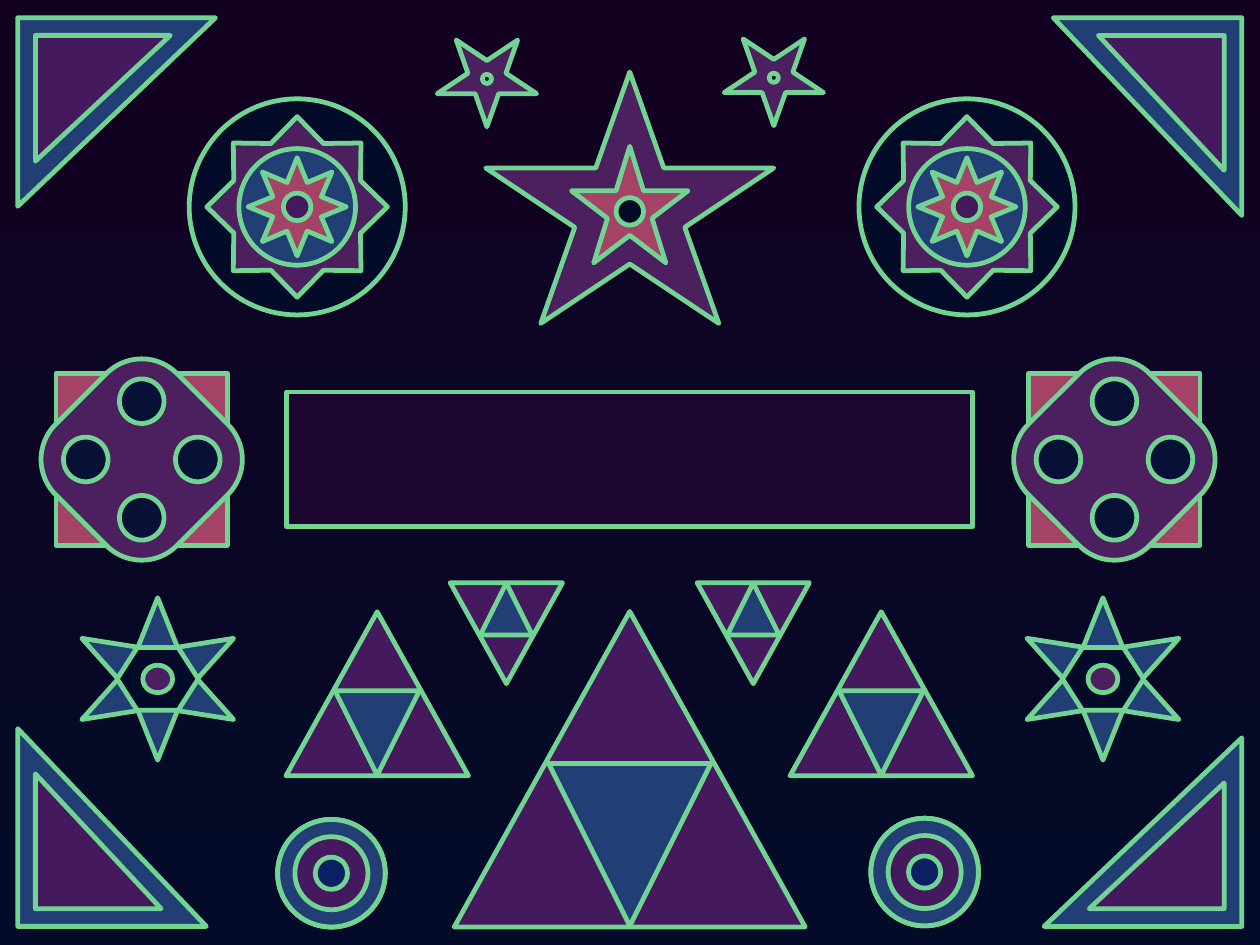
from math import cos, pi, radians, sin
from typing import NamedTuple, Optional

from pptx import Presentation
from pptx.dml.color import RGBColor
from pptx.enum.shapes import MSO_SHAPE as S
from pptx.util import Inches, Pt

THEME = {
    "sky": "130121", "ground": "030B28", "outline": "71D492", "banner": "1C052E",
    "violet": "4C1F5E", "plum": "45195D", "rose": "A44366", "blue": "213F75",
    "cobalt": "0D1F63", "ink": "071136", "line_width": 3,
}
CM_PER_INCH = 2.54
SLIDE_SIZE = (28 / CM_PER_INCH, 21 / CM_PER_INCH)


class Part(NamedTuple):
    outline: S
    width: float
    height: float
    fill: str
    dx: float = 0
    dy: float = 0
    turn: float = 0
    bend: Optional[float] = None


class Rays(NamedTuple):
    count: int
    outer: float
    inner: float
    fill: str
    stretch: float = 1


class Place(NamedTuple):
    x: float
    y: float
    turn: float = 0
    scale: float = 1


MOTIFS = {
    "banner": [Part(S.RECTANGLE, 6, 1.18, "banner")],
    "great_star": [
        Part(S.STAR_5_POINT, 2.52, 2.2, "violet"),
        Part(S.STAR_5_POINT, 1.02, 1.02, "rose", dy=0.06),
        Part(S.OVAL, 0.24, 0.24, "ground", dy=0.12),
    ],
    "small_star": [
        Part(S.STAR_5_POINT, 0.87, 0.76, "violet"),
        Part(S.OVAL, 0.08, 0.08, "ground", dy=0.04),
    ],
    "corner": [
        Part(S.RIGHT_TRIANGLE, 1.65, 1.73, "blue"),
        Part(S.RIGHT_TRIANGLE, 1.1, 1.18, "plum", dx=-0.12, dy=0.12),
    ],
    "medallion": [
        Part(S.OVAL, 1.89, 1.89, "ground"),
        Rays(8, 0.79, 0.6, "violet"),
        Part(S.OVAL, 1.02, 1.02, "blue"),
        Rays(8, 0.43, 0.23, "rose"),
        Part(S.OVAL, 0.24, 0.24, "plum"),
    ],
    "pyramid": [
        Part(S.ISOSCELES_TRIANGLE, 3.07, 2.76, "plum"),
        Part(S.ISOSCELES_TRIANGLE, 1.42, 1.42, "blue", dy=0.66, turn=180),
    ],
    "target": [
        Part(S.DONUT, 0.94, 0.94, fill, bend=bend)
        for fill, bend in [("cobalt", 0.5), ("plum", 0.35), ("blue", 0.16)]
    ],
    "tile": [
        Part(S.RECTANGLE, 1.5, 1.5, "rose"),
        Part(S.ROUNDED_RECTANGLE, 1.5, 1.5, "violet", turn=315, bend=0.29),
    ] + [
        Part(S.OVAL, 0.39, 0.39, "ink", dx=dx, dy=dy)
        for dx, dy in [(0, -0.51), (0, 0.51), (-0.49, 0), (0.49, 0)]
    ],
    "hexagram": [
        Rays(6, 0.71, 0.32, "blue", stretch=1.08),
        Part(S.HEXAGON, 0.71, 0.55, "ground", bend=0.32),
        Part(S.OVAL, 0.26, 0.24, "violet"),
    ],
}

PLACES = {
    "banner": [Place(5.51, 4.02)],
    "great_star": [Place(5.51, 1.73)],
    "small_star": [Place(4.26, 0.73, 180), Place(6.77, 0.72, 180)],
    "corner": [Place(0.98, 7.24), Place(1.02, 0.98, 90),
               Place(10.04, 1.02, 180), Place(10, 7.28, 270)],
    "medallion": [Place(2.6, 1.81), Place(8.46, 1.81)],
    "pyramid": [Place(5.51, 6.73), Place(3.3, 6.07, 0, 0.52), Place(7.71, 6.07, 0, 0.52),
                Place(4.43, 5.54, 180, 0.32), Place(6.59, 5.54, 180, 0.32)],
    "target": [Place(2.9, 7.64), Place(8.09, 7.63)],
    "tile": [Place(1.24, 4.02), Place(9.75, 4.02)],
    "hexagram": [Place(1.38, 5.94), Place(9.65, 5.94)],
}


def color(name):
    return RGBColor.from_string(THEME[name])


def add_part(shapes, part, place):
    angle = radians(place.turn)
    x = place.x + place.scale * (part.dx * cos(angle) - part.dy * sin(angle))
    y = place.y + place.scale * (part.dx * sin(angle) + part.dy * cos(angle))
    width, height = part.width * place.scale, part.height * place.scale
    figure = shapes.add_shape(part.outline, Inches(x - width / 2), Inches(y - height / 2),
                              Inches(width), Inches(height))
    figure.rotation = (part.turn + place.turn) % 360
    if part.bend is not None:
        figure.adjustments[0] = part.bend
    return figure


def add_rays(shapes, rays, place):
    tips = []
    for step in range(2 * rays.count):
        radius = rays.inner if step % 2 else rays.outer
        angle = step * pi / rays.count
        tips.append((Inches(place.x + rays.stretch * radius * sin(angle)),
                     Inches(place.y - radius * cos(angle))))
    builder = shapes.build_freeform(*tips[0])
    builder.add_line_segments(tips[1:], close=True)
    return builder.convert_to_shape()


def paint(figure, fill):
    figure.shadow.inherit = False
    figure.fill.solid()
    figure.fill.fore_color.rgb = color(fill)
    figure.line.color.rgb = color("outline")
    figure.line.width = Pt(THEME["line_width"])


def main():
    deck = Presentation()
    deck.slide_width, deck.slide_height = map(Inches, SLIDE_SIZE)
    slide = deck.slides.add_slide(deck.slide_layouts[6])

    backdrop = slide.background.fill
    backdrop.gradient()
    backdrop.gradient_angle = 270
    for stop, name in zip(backdrop.gradient_stops, ("sky", "ground")):
        stop.color.rgb = color(name)

    for motif, places in PLACES.items():
        for place in places:
            for part in MOTIFS[motif]:
                add = add_rays if isinstance(part, Rays) else add_part
                paint(add(slide.shapes, part, place), part.fill)

    deck.save("out.pptx")


if __name__ == "__main__":
    main()
